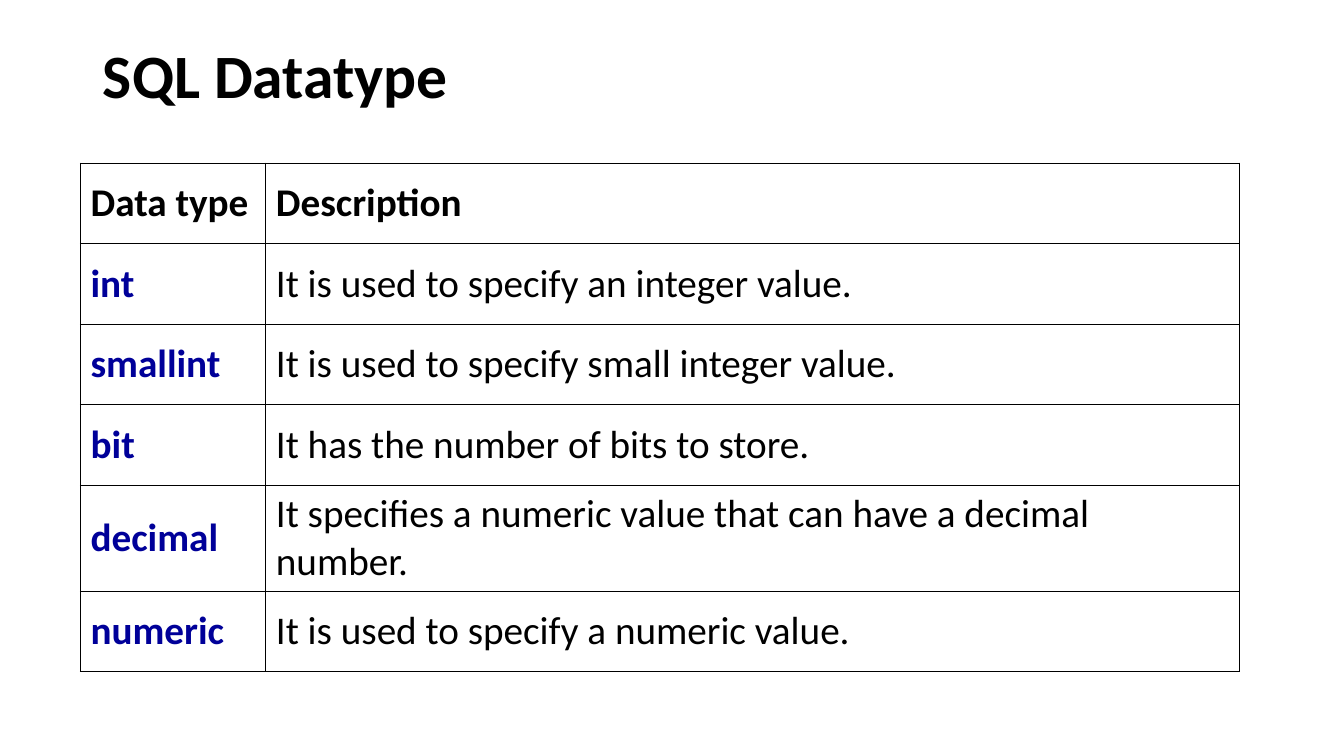
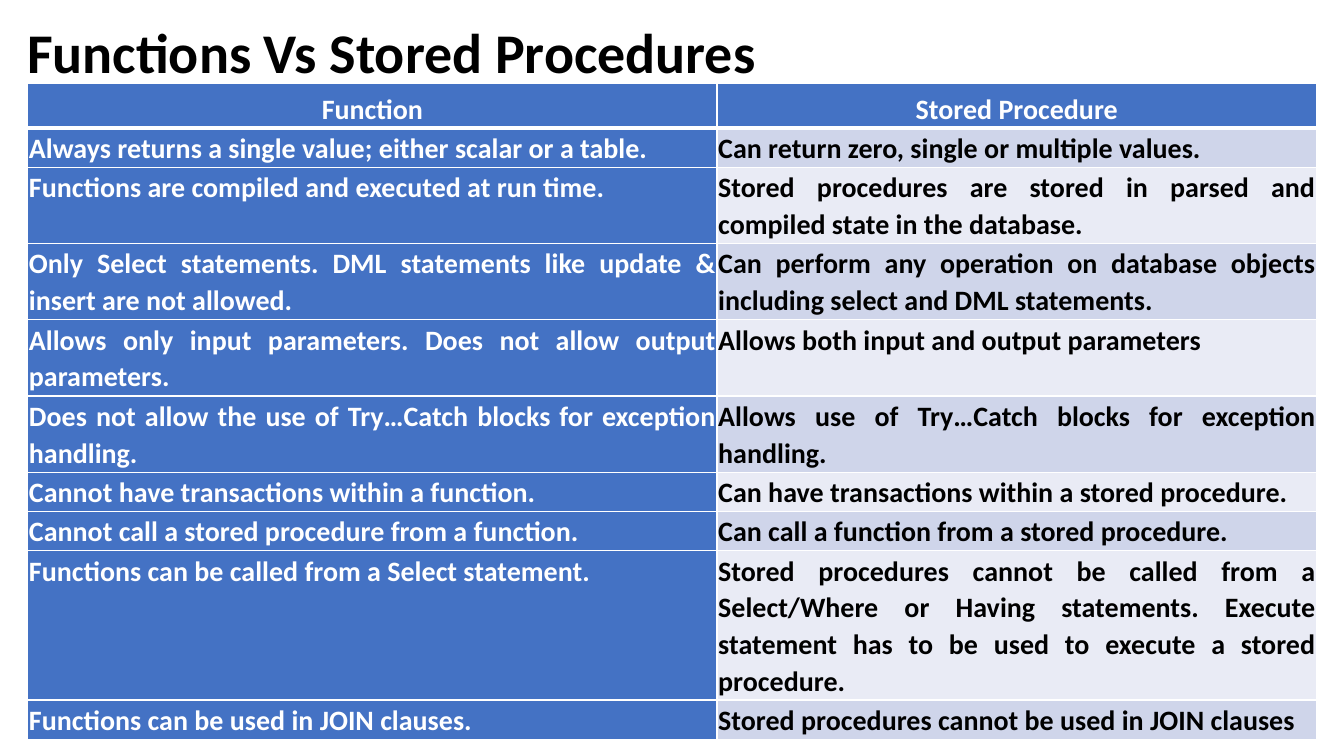
"""Build two slides: SQL data types, and functions compared with stored procedures."""
from lxml.etree import SubElement
from pptx import Presentation
from pptx.dml.color import RGBColor
from pptx.enum.text import MSO_ANCHOR, MSO_AUTO_SIZE, PP_ALIGN
from pptx.oxml.ns import qn
from pptx.util import Cm, Pt

FONT = "Calibri"
BLACK = RGBColor(0x00, 0x00, 0x00)
WHITE = RGBColor(0xFF, 0xFF, 0xFF)
NAVY = RGBColor(0x00, 0x00, 0x99)
BLUE = RGBColor(0x44, 0x72, 0xC4)
BANDS = [RGBColor(0xCF, 0xD5, 0xEA), RGBColor(0xE9, 0xEB, 0xF5)]

DATATYPES = [
    ("Data type", "Description"),
    ("int", "It is used to specify an integer value."),
    ("smallint", "It is used to specify small integer value."),
    ("bit", "It has the number of bits to store."),
    ("decimal", "It specifies a numeric value that can have a decimal number."),
    ("numeric", "It is used to specify a numeric value."),
]

COMPARISON_HEADER = ("Function", "Stored Procedure")
COMPARISON = [
    (1, "Always returns a single value; either scalar or a table.",
     "Can return zero, single or multiple values."),
    (2, "Functions are compiled and executed at run time.",
     "Stored procedures are stored in parsed and compiled state in the database."),
    (2, "Only Select statements. DML statements like update & insert are not allowed.",
     "Can perform any operation on database objects including select and DML statements."),
    (2, "Allows only input parameters. Does not allow output parameters.",
     "Allows both input and output parameters"),
    (2, "Does not allow the use of Try…Catch blocks for exception handling.",
     "Allows use of Try…Catch blocks for exception handling."),
    (1, "Cannot have transactions within a function.",
     "Can have transactions within a stored procedure."),
    (1, "Cannot call a stored procedure from a function.",
     "Can call a function from a stored procedure."),
    (3, "Functions can be called from a Select statement.",
     "Stored procedures cannot be called from a Select/Where or Having statements. "
     "Execute statement has to be used to execute a stored procedure."),
    (1, "Functions can be used in JOIN clauses.",
     "Stored procedures cannot be used in JOIN clauses"),
]


def write(frame, text, size, color=BLACK, bold=True, align=PP_ALIGN.LEFT, spacing=1.0):
    """Put one formatted paragraph into a text frame."""
    para = frame.paragraphs[0]
    para.alignment = align
    para.line_spacing = spacing
    span = para.add_run()
    span.text = text
    span.font.name = FONT
    span.font.size = Pt(size)
    span.font.bold = bold
    span.font.color.rgb = color


def add_page(deck, title, left, top, width, height, size, anchor):
    """Add a title-only slide with its title placed and styled."""
    page = deck.slides.add_slide(deck.slide_layouts[5])
    box = page.shapes.title
    box.left, box.top, box.width, box.height = Cm(left), Cm(top), Cm(width), Cm(height)
    frame = box.text_frame
    frame.word_wrap = True
    frame.auto_size = MSO_AUTO_SIZE.NONE
    frame.vertical_anchor = anchor
    write(frame, title, size, spacing=0.9)
    return page


def add_plain_table(page, left, top, widths, heights):
    """Add a table without banding, sized from its columns and rows."""
    table = page.shapes.add_table(len(heights), len(widths), Cm(left), Cm(top),
                                  Cm(sum(widths)), Cm(sum(heights))).table
    table.first_row = False
    table.horz_banding = False
    for column, width in zip(table.columns, widths):
        column.width = Cm(width)
    for row, height in zip(table.rows, heights):
        row.height = Cm(height)
    return table


def style_cell(cell, border, fill=None, anchor=MSO_ANCHOR.TOP, margin=None, top=1, bottom=1):
    """Set the borders, fill, anchor and margins of a cell."""
    properties = cell._tc.get_or_add_tcPr()
    for side, points in (("L", 1), ("R", 1), ("T", top), ("B", bottom)):
        line = SubElement(properties, qn(f"a:ln{side}"), w=str(Pt(points)))
        solid = SubElement(line, qn("a:solidFill"))
        SubElement(solid, qn("a:srgbClr"), val=str(border))
    if fill is None:
        cell.fill.background()
    else:
        cell.fill.solid()
        cell.fill.fore_color.rgb = fill
    cell.vertical_anchor = anchor
    if margin is not None:
        cell.margin_left = cell.margin_right = Cm(margin)
        cell.margin_top = cell.margin_bottom = Cm(margin)


def add_datatype_table(page):
    """Add the ruled table of data types."""
    table = add_plain_table(page, 2.03, 4.11, [4.67, 24.54], [2.03] * len(DATATYPES))
    for row, texts in enumerate(DATATYPES):
        for column, text in enumerate(texts):
            cell = table.cell(row, column)
            style_cell(cell, BLACK, anchor=MSO_ANCHOR.MIDDLE)
            write(cell.text_frame, text, 28, bold=row == 0 or column == 0,
                  color=NAVY if row and column == 0 else BLACK)


def add_comparison_table(page):
    """Add the banded table that sets functions against stored procedures."""
    heights = [1.12] + [0.06 + 0.93 * lines for lines, *_ in COMPARISON]
    table = add_plain_table(page, 0.7, 2.11, [17.37, 15.11], heights)
    for column, text in enumerate(COMPARISON_HEADER):
        cell = table.cell(0, column)
        style_cell(cell, WHITE, BLUE, MSO_ANCHOR.BOTTOM, margin=0.03, bottom=3)
        write(cell.text_frame, text, 20, WHITE, align=PP_ALIGN.CENTER, spacing=1.07)
    for row, (_, *texts) in enumerate(COMPARISON, start=1):
        band = BANDS[(row - 1) % len(BANDS)]
        looks = [(BLUE, WHITE), (band, BLACK)]
        for column, (text, (fill, color)) in enumerate(zip(texts, looks)):
            cell = table.cell(row, column)
            style_cell(cell, WHITE, fill, margin=0.03, top=3 if row == 1 else 1)
            write(cell.text_frame, text, 20, color, align=PP_ALIGN.JUSTIFY, spacing=1.07)


def main():
    """Build and save the deck."""
    deck = Presentation()
    deck.slide_width, deck.slide_height = Cm(33.87), Cm(19.05)
    page = add_page(deck, "SQL Datatype", 2.34, 1.02, 29.21, 3.68, 44, MSO_ANCHOR.TOP)
    add_datatype_table(page)
    page = add_page(deck, "Functions Vs Stored Procedures", 0.43, 0.46, 27.74, 1.88, 40,
                    MSO_ANCHOR.MIDDLE)
    add_comparison_table(page)
    deck.save("out.pptx")


if __name__ == "__main__":
    main()
